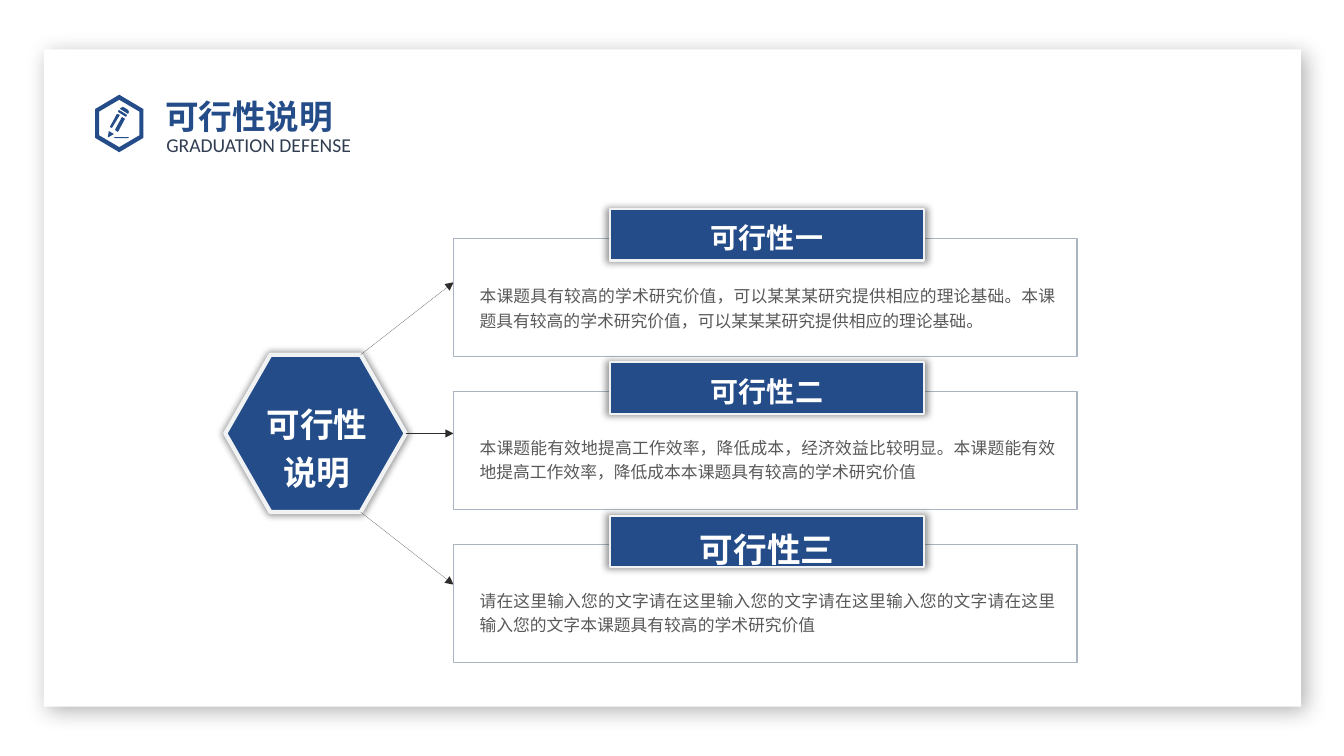
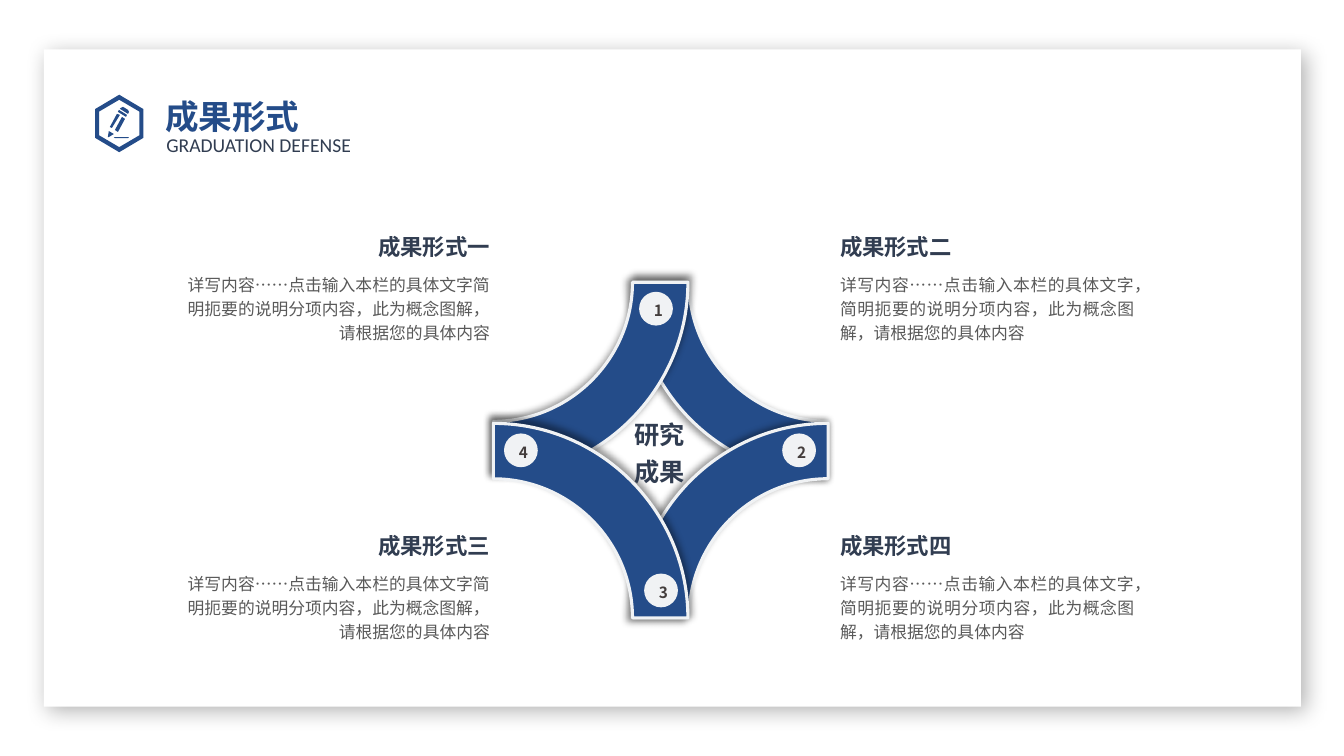
import dataclasses
import typing

import lxml.etree
import pptx
import pptx.dml.color
import pptx.enum.shapes
import pptx.enum.text
import pptx.oxml.ns
import pptx.shapes.autoshape
import pptx.slide
import pptx.util

CELL = pptx.util.Inches(0.1)
COLUMNS, ROWS = 133.33, 75
COLORS = {
    "white": "FFFFFF", "navy": "244C89", "rim": "F0F2F4", "ink": "313D51",
    "body": "595959", "frame": "AAB5C1", "arrow": "2E2C2C", "digit": "433D3C",
    "shadow": "000000",
}
CJK = "Noto Sans CJK SC"
ALIGN = pptx.enum.text.PP_ALIGN
SHAPE = pptx.enum.shapes.MSO_SHAPE
Point = tuple[float, float]
Shape = pptx.shapes.autoshape.Shape
Page = pptx.slide.Slide


@dataclasses.dataclass(frozen=True)
class Box:
    left: float
    top: float
    width: float
    height: float

    def place(self) -> list[int]:
        return [cells(v) for v in (self.left, self.top, self.width, self.height)]


@dataclasses.dataclass(frozen=True)
class Shadow:
    alpha: int
    blur: int
    distance: int = 0
    angle: int = 0
    scale: int = 100


@dataclasses.dataclass(frozen=True)
class TextStyle:
    size: int
    color: str
    bold: bool = False
    align: typing.Any = ALIGN.LEFT
    font: str = CJK
    spacing: typing.Any = 1.2


@dataclasses.dataclass(frozen=True)
class Look:
    fill: str
    line: str | None = None
    width: float = 0
    shadow: Shadow | None = None


@dataclasses.dataclass(frozen=True)
class Reason:
    label: str
    size: int
    body_top: float
    body: str


@dataclasses.dataclass(frozen=True)
class Outcome:
    heading: str
    top: float
    on_left: bool


@dataclasses.dataclass(frozen=True)
class Badge:
    left: float
    top: float


GLOW = Shadow(40, 5, scale=102)
PANEL = Look("white", shadow=Shadow(30, 15, 5, 45))
TITLE = TextStyle(24, "navy", True, font="Lato")
SUBTITLE = TextStyle(14, "ink", font="Calibri", spacing=pptx.util.Pt(23))
BODY = TextStyle(12, "body", align=ALIGN.JUSTIFY)
HEX_CORNERS = [(0, -1), (1, -0.5), (1, 0.5), (0, 1), (-1, 0.5), (-1, -0.5)]
PENCIL = [
    [(11.4, 13.6), (12.7, 13.6), (12.8, 13.65), (12.7, 13.7), (11.4, 13.7), (11.3, 13.65)],
    [(11.4, 12.9), (12.1, 11.6), (12.4, 11.8), (11.7, 13.1)],
    [(10.9, 12.6), (11.6, 11.3), (11.9, 11.4), (11.1, 12.7)],
    [(10.7, 13.6), (10.8, 13), (11.3, 13.3), (10.8, 13.6)],
    [(11.8, 10.9), (11.7, 11.1), (12.5, 11.6), (12.6, 11.4)],
    [(12, 10.7), (12.2, 10.6), (12.7, 10.9), (12.8, 11.1), (12.7, 11.3), (11.9, 10.8)],
]
REASONS = [
    Reason("可行性一", 20, 27.5, "本课题具有较高的学术研究价值，可以某某某研究提供相应的理论基础。"
           "本课题具有较高的学术研究价值，可以某某某研究提供相应的理论基础。"),
    Reason("可行性二", 20, 42.5, "本课题能有效地提高工作效率，降低成本，经济效益比较明显。"
           "本课题能有效地提高工作效率，降低成本本课题具有较高的学术研究价值"),
    Reason("可行性三", 24, 57.7, "请在这里输入您的文字请在这里输入您的文字请在这里输入您的文字"
           "请在这里输入您的文字本课题具有较高的学术研究价值"),
]
OUTCOMES = [
    Outcome("成果形式一", 22.15, True), Outcome("成果形式二", 22.15, False),
    Outcome("成果形式三", 51.8, True), Outcome("成果形式四", 51.8, False),
]
OUTCOME_LEFT = "详写内容……点击输入本栏的具体文字简明扼要的说明分项内容，此为概念图解，请根据您的具体内容"
OUTCOME_RIGHT = "详写内容……点击输入本栏的具体文字，简明扼要的说明分项内容，此为概念图解，请根据您的具体内容"
BADGES = [Badge(63.4, 28.95), Badge(77.6, 43), Badge(63.9, 56.9), Badge(50, 43)]


def cells(value: float) -> int:
    return round(value * CELL)


def rgb(name: str) -> pptx.dml.color.RGBColor:
    return pptx.dml.color.RGBColor.from_string(COLORS[name])


def child(parent: typing.Any, tag: str, **attributes: typing.Any) -> typing.Any:
    values = {key: str(value) for key, value in attributes.items()}
    return lxml.etree.SubElement(parent, pptx.oxml.ns.qn(tag), values)


def style_shape(shape: Shape, look: Look) -> None:
    shape.shadow.inherit = False
    shape.fill.solid()
    shape.fill.fore_color.rgb = rgb(look.fill)
    if look.line:
        shape.line.color.rgb = rgb(look.line)
        shape.line.width = pptx.util.Pt(look.width)
    else:
        shape.line.fill.background()
    if look.shadow:
        effects = shape.element.spPr.find(pptx.oxml.ns.qn("a:effectLst"))
        scale = look.shadow.scale * 1000
        outer = child(effects, "a:outerShdw", blurRad=pptx.util.Pt(look.shadow.blur),
                      dist=pptx.util.Pt(look.shadow.distance),
                      dir=look.shadow.angle * 60000, sx=scale, sy=scale,
                      algn="ctr", rotWithShape=0)
        color = child(outer, "a:srgbClr", val=COLORS["shadow"])
        child(color, "a:alpha", val=look.shadow.alpha * 1000)


def write(shape: Shape, text: str, style: TextStyle) -> None:
    shape.text_frame.word_wrap = True
    para = shape.text_frame.paragraphs[0]
    para.alignment = style.align
    para.line_spacing = style.spacing
    span = para.add_run()
    span.text = text
    span.font.size = pptx.util.Pt(style.size)
    span.font.bold = style.bold
    span.font.name = style.font
    span.font.color.rgb = rgb(style.color)
    child(span.font._element, "a:ea", typeface=CJK)


def add_text(page: Page, box: Box, text: str, style: TextStyle) -> Shape:
    shape = page.shapes.add_textbox(*box.place())
    write(shape, text, style)
    return shape


def add_shape(page: Page, kind: typing.Any, box: Box, look: Look) -> Shape:
    shape = page.shapes.add_shape(kind, *box.place())
    style_shape(shape, look)
    return shape


def add_outline(page: Page, contours: list[list[Point]], look: Look) -> Shape:
    scaled = [[(cells(x), cells(y)) for x, y in contour] for contour in contours]
    builder = page.shapes.build_freeform(*scaled[0][0])
    for index, contour in enumerate(scaled):
        if index:
            builder.move_to(*contour[0])
        builder.add_line_segments(contour[1:], close=True)
    shape = builder.convert_to_shape()
    style_shape(shape, look)
    return shape


def add_arrow(page: Page, start: Point, end: Point) -> None:
    arrow = page.shapes.add_connector(
        pptx.enum.shapes.MSO_CONNECTOR.STRAIGHT, *[cells(v) for v in start + end])
    arrow.line.color.rgb = rgb("arrow")
    line = arrow.element.spPr.find(pptx.oxml.ns.qn("a:ln"))
    line.set("w", "0")
    child(line, "a:tailEnd", type="triangle")
    child(arrow.element.spPr, "a:effectLst")


def upright_hexagon(center: Point, half_width: float, half_height: float) -> list[Point]:
    return [(center[0] + x * half_width, center[1] + y * half_height) for x, y in HEX_CORNERS]


def add_page(deck: typing.Any, title: str) -> Page:
    page = deck.slides.add_slide(deck.slide_layouts[6])
    add_shape(page, SHAPE.RECTANGLE, Box(4.35, 4.9, 124.7, 65.2), PANEL)
    center = (11.83, 12.25)
    rings = [upright_hexagon(center, 2.4, 2.85), upright_hexagon(center, 2, 2.35)]
    add_outline(page, rings + PENCIL, Look("navy"))
    subtitle = add_text(page, Box(16.5, 12.35, 21.7, 3.4), "GRADUATION DEFENSE", SUBTITLE)
    frame = subtitle.text_frame
    frame.margin_left = frame.margin_top = frame.margin_right = 0
    add_text(page, Box(15.4, 8.2, 39.7, 5), title, TITLE)
    return page


def draw_feasibility(deck: typing.Any) -> None:
    page = add_page(deck, "可行性说明")
    center_x, center_y, half_width, half_height = 31.3, 43, 8.95, 7.8
    hexagon = [(center_x + y * half_width, center_y + x * half_height) for x, y in HEX_CORNERS]
    add_outline(page, [hexagon], Look("navy", "rim", 3, GLOW))
    for side in (-1, 0, 1):
        start_x = center_x + half_width * (1 - abs(side) / 2)
        add_arrow(page, (start_x, center_y + side * half_height), (45, center_y + side * 15))
    for index, reason in enumerate(REASONS):
        top = 23.65 + index * 15.2
        add_shape(page, SHAPE.RECTANGLE, Box(45, top, 61.85, 11.7), Look("white", "frame"))
        add_shape(page, SHAPE.RECTANGLE, Box(60.5, top - 2.9, 31.15, 5.1),
                  Look("navy", "rim", 1.5, GLOW))
        add_text(page, Box(62.6, top - 2.9, 27, 4.5), reason.label,
                 TextStyle(reason.size, "white", True, ALIGN.CENTER))
        add_text(page, Box(46.6, reason.body_top, 59.15, 8.3), reason.body, BODY)
    add_text(page, Box(24.95, 38.75, 13, 10.1), "可行性说明",
             TextStyle(24, "white", True, ALIGN.CENTER))


def add_arm(page: Page, side_x: int, side_y: int) -> None:
    outer, inner = 19.3, 13.8
    middle_x, middle_y = 65.55 + side_x * 6.95, 44.65 + side_y * 7
    flip = side_x * side_y
    corner_x, corner_y = middle_x + flip * outer / 2, middle_y - outer / 2
    bend = 0.55
    quarter = [(1, 0), (1, bend), (bend, 1), (0, 1)]
    rims = [(outer, quarter), (inner, quarter[::-1])]
    points = [(corner_x - flip * radius * x, corner_y + radius * y)
              for radius, arc in rims for x, y in arc]
    shape = add_outline(page, [points], Look("navy", "rim", 2.25, GLOW))
    shape.rotation = 90 if side_x > 0 else 270
    segments = list(shape.element.iter(pptx.oxml.ns.qn("a:lnTo")))
    for first in (0, 4):
        curve = lxml.etree.Element(pptx.oxml.ns.qn("a:cubicBezTo"))
        segments[first].addprevious(curve)
        for segment in segments[first:first + 3]:
            curve.append(segment[0])
            segment.getparent().remove(segment)


def draw_outcomes(deck: typing.Any) -> None:
    page = add_page(deck, "成果形式")
    for outcome in OUTCOMES:
        left, width = (17.1, 32.5) if outcome.on_left else (82.35, 31.2)
        align = ALIGN.RIGHT if outcome.on_left else ALIGN.LEFT
        add_text(page, Box(left, outcome.top, width, 4), outcome.heading,
                 TextStyle(16, "ink", True, align))
        body = OUTCOME_LEFT if outcome.on_left else OUTCOME_RIGHT
        style = dataclasses.replace(BODY, align=ALIGN.RIGHT) if outcome.on_left else BODY
        add_text(page, Box(left, outcome.top + 4.2, width, 8.3), body, style)
    for side_y in (-1, 1):
        for side_x in (1, -1):
            add_arm(page, side_x, side_y)
    add_text(page, Box(61.4, 40.55, 8, 8.3), "研究成果",
             TextStyle(18, "ink", True, ALIGN.CENTER))
    for number, badge in enumerate(BADGES, 1):
        circle = add_shape(page, SHAPE.OVAL, Box(badge.left, badge.top, 3.35, 3.35), Look("rim"))
        write(circle, str(number), TextStyle(11, "digit", True, ALIGN.CENTER))


def main() -> None:
    deck = pptx.Presentation()
    deck.slide_width, deck.slide_height = cells(COLUMNS), cells(ROWS)
    draw_feasibility(deck)
    draw_outcomes(deck)
    deck.save("out.pptx")


if __name__ == "__main__":
    main()
